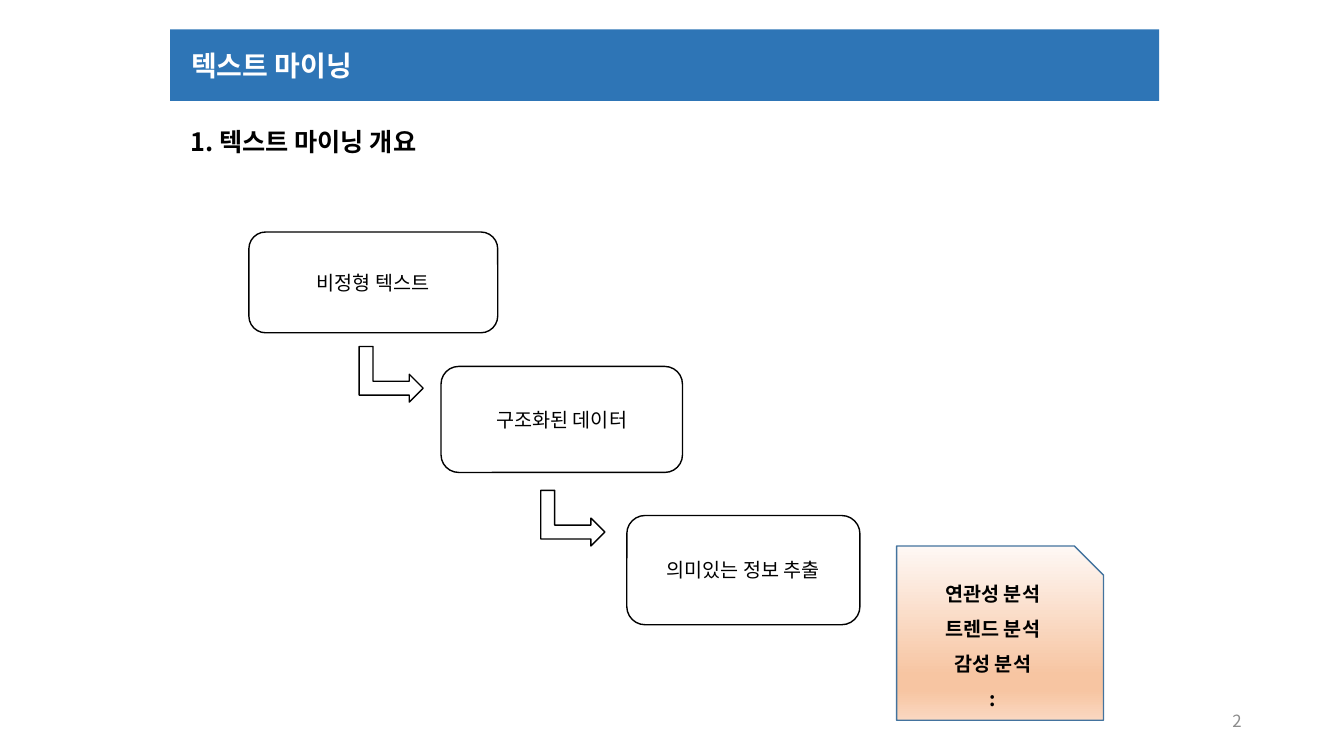
from dataclasses import dataclass

from lxml.etree import SubElement
from pptx import Presentation
from pptx.dml.color import RGBColor
from pptx.enum.shapes import MSO_SHAPE as Preset
from pptx.enum.text import MSO_ANCHOR as Anchor, MSO_AUTO_SIZE as AutoSize, PP_ALIGN as Align
from pptx.oxml.ns import qn
from pptx.shapes.autoshape import Shape
from pptx.slide import Slide
from pptx.util import Emu, Pt

FONT = "Noto Sans CJK KR"
BLACK = "000000"
WHITE = "FFFFFF"
BAR_BLUE = "2E75B6"
NOTE_BLUE = "43739E"
NUMBER_GRAY = "8C8C8C"
ARROW_WIDTH, ARROW_HEIGHT = 53, 61


@dataclass(frozen=True)
class Area:
    """A rectangle on the slide, in px."""
    left: int
    top: int
    width: int
    height: int


@dataclass(frozen=True)
class Style:
    """The look of a block of text."""
    size: int
    color: str = BLACK
    bold: bool = False
    align: Align = Align.LEFT
    anchor: Anchor = Anchor.MIDDLE
    spacing: float = 1.0


@dataclass(frozen=True)
class Step:
    """One stage of the text mining flow."""
    label: str
    area: Area


@dataclass(frozen=True)
class Stop:
    """One colour stop of a gradient, in percent."""
    percent: int
    color: str


STEPS = [
    Step("비정형 텍스트", Area(237, 221, 237, 96)),
    Step("구조화된 데이터", Area(420, 349, 230, 101)),
    Step("의미있는 정보 추출", Area(597, 491, 222, 104)),
]
ARROWS = [
    Area(346, 326, ARROW_WIDTH, ARROW_HEIGHT),
    Area(519, 463, ARROW_WIDTH, ARROW_HEIGHT),
]
ANALYSES = ["연관성 분석", "트렌드 분석", "감성 분석", ":"]
NOTE_STOPS = [Stop(0, "FEF8F5"), Stop(74, "F7C5A2"), Stop(83, "F7C5A2"), Stop(100, "FAD8C1")]


def px(length: int) -> Emu:
    """Turn px into EMU."""
    return Emu(length * 9525)


def rgb(value: str) -> RGBColor:
    """Turn a hex string into a colour."""
    return RGBColor.from_string(value)


def place(shape: Shape, area: Area) -> None:
    """Move and size a shape."""
    shape.left, shape.top = px(area.left), px(area.top)
    shape.width, shape.height = px(area.width), px(area.height)


def write(shape: Shape, lines: list[str], style: Style) -> None:
    """Fill a shape with styled paragraphs."""
    frame = shape.text_frame
    frame.text = "\n".join(lines)
    frame.word_wrap = True
    frame.auto_size = AutoSize.NONE
    frame.vertical_anchor = style.anchor
    for para in frame.paragraphs:
        para.alignment = style.align
        para.line_spacing = style.spacing
        font = para.font
        font.size, font.bold, font.name = Pt(style.size), style.bold, FONT
        font.color.rgb = rgb(style.color)
        properties = para._p.pPr.find(qn("a:defRPr"))
        SubElement(properties, qn("a:ea"), typeface=FONT)


def add_outline(page: Slide, preset: Preset, area: Area, line: str = BLACK) -> Shape:
    """Add an unfilled shape with a thin outline."""
    shape = page.shapes.add_shape(preset, 0, 0, 0, 0)
    place(shape, area)
    shape.shadow.inherit = False
    shape.fill.background()
    shape.line.color.rgb = rgb(line)
    shape.line.width = Pt(1)
    return shape


def add_text(page: Slide, text: str, area: Area, style: Style) -> None:
    """Add a text box."""
    box = page.shapes.add_textbox(0, 0, 0, 0)
    place(box, area)
    write(box, [text], style)


def fill_gradient(shape: Shape, stops: list[Stop]) -> None:
    """Fill a shape with a gradient from top to bottom."""
    shape.fill.gradient()
    shape.fill.gradient_angle = 270
    stop_list = shape.element.spPr.find(f".//{qn('a:gsLst')}")
    stop_list.clear()
    for stop in stops:
        entry = SubElement(stop_list, qn("a:gs"), pos=str(stop.percent * 1000))
        SubElement(entry, qn("a:srgbClr"), val=stop.color)


def add_title(page: Slide) -> None:
    """Turn the title placeholder into the coloured bar."""
    title = page.shapes.title
    place(title, Area(162, 28, 942, 68))
    title.fill.solid()
    title.fill.fore_color.rgb = rgb(BAR_BLUE)
    write(title, ["텍스트 마이닝"], Style(20, WHITE, bold=True))
    title.text_frame.margin_left = px(20)


def main() -> None:
    """Build the slide and save it."""
    deck = Presentation()
    deck.slide_width, deck.slide_height = px(1280), px(720)
    page = deck.slides.add_slide(deck.slide_layouts.get_by_name("Title Only"))

    add_title(page)
    add_text(page, "2", Area(904, 667, 288, 38), Style(12, NUMBER_GRAY, align=Align.RIGHT))
    add_text(page, "1. 텍스트 마이닝 개요", Area(172, 116, 718, 38),
             Style(18, bold=True, anchor=Anchor.TOP))

    for step in STEPS:
        box = add_outline(page, Preset.ROUNDED_RECTANGLE, step.area)
        write(box, [step.label], Style(14, align=Align.CENTER))
    for area in ARROWS:
        add_outline(page, Preset.BENT_UP_ARROW, area).rotation = 90

    note = add_outline(page, Preset.SNIP_1_RECTANGLE, Area(854, 520, 197, 166), NOTE_BLUE)
    fill_gradient(note, NOTE_STOPS)
    write(note, ANALYSES, Style(14, bold=True, align=Align.CENTER, spacing=1.5))

    deck.save("out.pptx")


if __name__ == "__main__":
    main()
